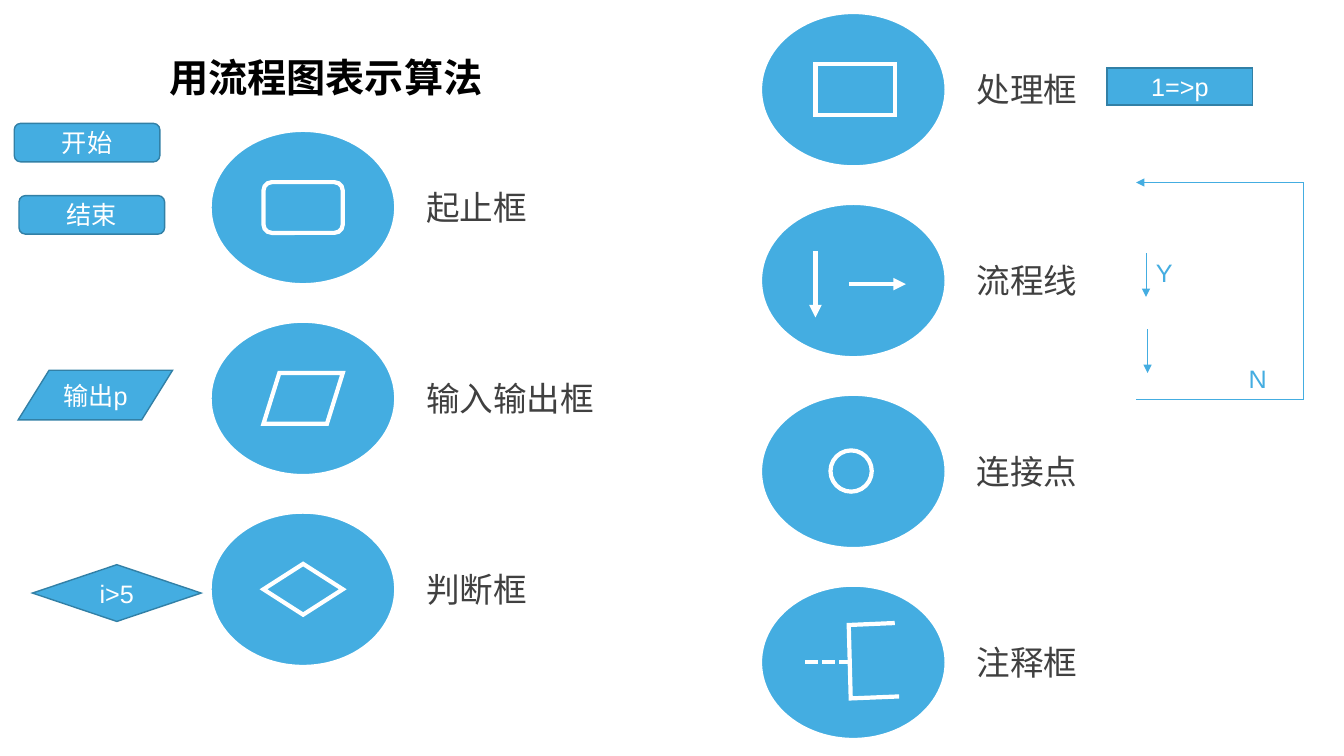
from dataclasses import dataclass

from lxml.etree import SubElement
from pptx import Presentation
from pptx.dml.color import RGBColor
from pptx.enum.dml import MSO_LINE
from pptx.enum.shapes import MSO_CONNECTOR, MSO_SHAPE
from pptx.enum.text import MSO_ANCHOR, MSO_AUTO_SIZE, PP_ALIGN
from pptx.oxml.ns import qn
from pptx.util import Cm, Pt


@dataclass(frozen=True)
class Theme:
    font: str = "Arial"
    blue: str = "44ADE1"
    edge: str = "3280A6"
    white: str = "FFFFFF"
    title: str = "000000"
    label: str = "404040"
    title_size: int = 28
    label_size: int = 24
    example_size: int = 18
    symbol_line: float = 3
    disc_line: float = 1.5
    example_line: float = 1
    flow_line: float = 0.5


THEME = Theme()

# All lengths below are centimetres.
ROW_STEP = 4.81
DISC_SIZE = (4.65, 3.86)
LEFT_COLUMN = (5.31, 3.3)
RIGHT_COLUMN = (19.18, 0.33)
LABEL_OFFSET = (5.18, 1.29)
LABEL_SIZE = (4.22, 1.27)
SYMBOL_SIZE = (2, 1.28)


def write(frame, text, size, color, bold=False, align=PP_ALIGN.LEFT,
          anchor=MSO_ANCHOR.TOP):
    frame.vertical_anchor = anchor
    paragraph = frame.paragraphs[0]
    paragraph.alignment = align
    run = paragraph.add_run()
    run.text = text
    run.font.name = THEME.font
    run.font.size = Pt(size)
    run.font.bold = bold
    run.font.color.rgb = RGBColor.from_string(color)
    return paragraph


def outline(part, color, width, arrow=False, dash=None):
    part.line.color.rgb = RGBColor.from_string(color)
    part.line.width = Pt(width)
    if dash:
        part.line.dash_style = dash
    ln = part.element.spPr.find(qn("a:ln"))
    SubElement(ln, qn("a:miter"), lim="800000")
    if arrow:
        SubElement(ln, qn("a:tailEnd"), type="triangle")


def add_title(slide, text):
    title = slide.shapes.title
    title.left, title.top, title.width, title.height = map(Cm, (4.01, 0.33, 25.2, 2.34))
    heading = write(title.text_frame, text, THEME.title_size, THEME.title,
                    bold=True, anchor=MSO_ANCHOR.BOTTOM)
    heading.line_spacing = 0.9


def add_label(slide, text, left, top, width, height,
              size=THEME.label_size, color=THEME.label):
    label = slide.shapes.add_textbox(Cm(left), Cm(top), Cm(width), Cm(height))
    label.text_frame.word_wrap = True
    label.text_frame.auto_size = MSO_AUTO_SIZE.SHAPE_TO_FIT_TEXT
    write(label.text_frame, text, size, color)


def add_figure(slide, preset, left, top, width, height, fill=None,
               line=THEME.white, line_width=THEME.symbol_line):
    figure = slide.shapes.add_shape(preset, Cm(left), Cm(top), Cm(width), Cm(height))
    figure.shadow.inherit = False
    if fill:
        figure.fill.solid()
        figure.fill.fore_color.rgb = RGBColor.from_string(fill)
    else:
        figure.fill.background()
    outline(figure, line, line_width)
    return figure


def add_example(slide, preset, text, left, top, width, height):
    """Add a small flowchart box filled in with sample text."""
    example = add_figure(slide, preset, left, top, width, height, fill=THEME.blue,
                         line=THEME.edge, line_width=THEME.example_line)
    frame = example.text_frame
    frame.margin_left = frame.margin_right = frame.margin_top = frame.margin_bottom = 0
    write(frame, text, THEME.example_size, THEME.white,
          align=PP_ALIGN.CENTER, anchor=MSO_ANCHOR.MIDDLE)


def add_line(slide, start, end, color=THEME.white, width=THEME.symbol_line,
             arrow=True, dash=None):
    line = slide.shapes.add_connector(MSO_CONNECTOR.STRAIGHT,
                                      *map(Cm, (*start, *end)))
    outline(line, color, width, arrow, dash)
    SubElement(line.element.spPr, qn("a:effectLst"))


def add_open_path(slide, points, color, width, arrow=False):
    corners = [(Cm(x), Cm(y)) for x, y in points]
    builder = slide.shapes.build_freeform(*corners[0])
    builder.add_line_segments(corners[1:], close=False)
    path = builder.convert_to_shape()
    path.shadow.inherit = False
    path.fill.background()
    outline(path, color, width, arrow)


def add_column(slide, origin, names):
    """Stack one blue disc with its name per row, evenly spaced."""
    left, first_top = origin
    for row, name in enumerate(names):
        top = first_top + row * ROW_STEP
        add_figure(slide, MSO_SHAPE.OVAL, left, top, *DISC_SIZE,
                   fill=THEME.blue, line_width=THEME.disc_line)
        label_width = max(LABEL_SIZE[0], len(name) * 1.01)
        add_label(slide, name, left + LABEL_OFFSET[0], top + LABEL_OFFSET[1],
                  label_width, LABEL_SIZE[1])


def add_symbols(slide):
    left_symbols = (MSO_SHAPE.FLOWCHART_ALTERNATE_PROCESS,
                    MSO_SHAPE.FLOWCHART_DATA, MSO_SHAPE.FLOWCHART_DECISION)
    for row, preset in enumerate(left_symbols):
        add_figure(slide, preset, 6.64, 4.59 + row * ROW_STEP, *SYMBOL_SIZE)
    add_figure(slide, MSO_SHAPE.FLOWCHART_PROCESS, 20.55, 1.61, *SYMBOL_SIZE)
    add_line(slide, (20.55, 6.32), (20.55, 8))
    add_line(slide, (21.39, 7.16), (22.83, 7.16))
    add_figure(slide, MSO_SHAPE.FLOWCHART_CONNECTOR, 20.93, 11.35, 1.04, 1.04)
    add_line(slide, (20.29, 16.69), (21.39, 16.69), arrow=False,
             dash=MSO_LINE.SQUARE_DOT)
    note_bracket = [(22.55, 15.7), (21.39, 15.75), (21.44, 17.6), (22.66, 17.55)]
    add_open_path(slide, note_bracket, THEME.white, THEME.symbol_line)


def add_loop(slide):
    """Draw the sample flow lines with their Y and N branches."""
    loop = [(28.63, 10.06), (32.84, 10.06), (32.84, 4.6), (28.63, 4.6)]
    add_open_path(slide, loop, THEME.blue, THEME.flow_line, arrow=True)
    for x, top in ((28.88, 6.38), (28.92, 8.3)):
        add_line(slide, (x, top), (x, top + 1.1), THEME.blue, THEME.flow_line)
    for branch, left, top in (("Y", 28.88, 6.35), ("N", 31.22, 9.04)):
        add_label(slide, branch, left, top, 1.37, 1.14,
                  size=THEME.example_size, color=THEME.blue)


def main():
    deck = Presentation()
    deck.slide_width, deck.slide_height = Cm(33.87), Cm(19.05)
    slide = deck.slides.add_slide(deck.slide_layouts[5])

    add_title(slide, "用流程图表示算法")
    add_column(slide, LEFT_COLUMN, ("起止框", "输入输出框", "判断框"))
    add_column(slide, RIGHT_COLUMN, ("处理框", "流程线", "连接点", "注释框"))
    add_symbols(slide)

    terminal = MSO_SHAPE.FLOWCHART_ALTERNATE_PROCESS
    add_example(slide, terminal, "开始", 0.36, 3.11, 3.67, 0.97)
    add_example(slide, terminal, "结束", 0.48, 4.93, 3.67, 0.97)
    add_example(slide, MSO_SHAPE.FLOWCHART_DATA, "输出p", 0.46, 9.33, 3.89, 1.25)
    add_example(slide, MSO_SHAPE.FLOWCHART_DECISION, "i>5", 0.82, 14.23, 4.25, 1.43)
    add_example(slide, MSO_SHAPE.FLOWCHART_PROCESS, "1=>p", 27.9, 1.71, 3.67, 0.94)
    add_loop(slide)

    deck.save("out.pptx")


if __name__ == "__main__":
    main()
